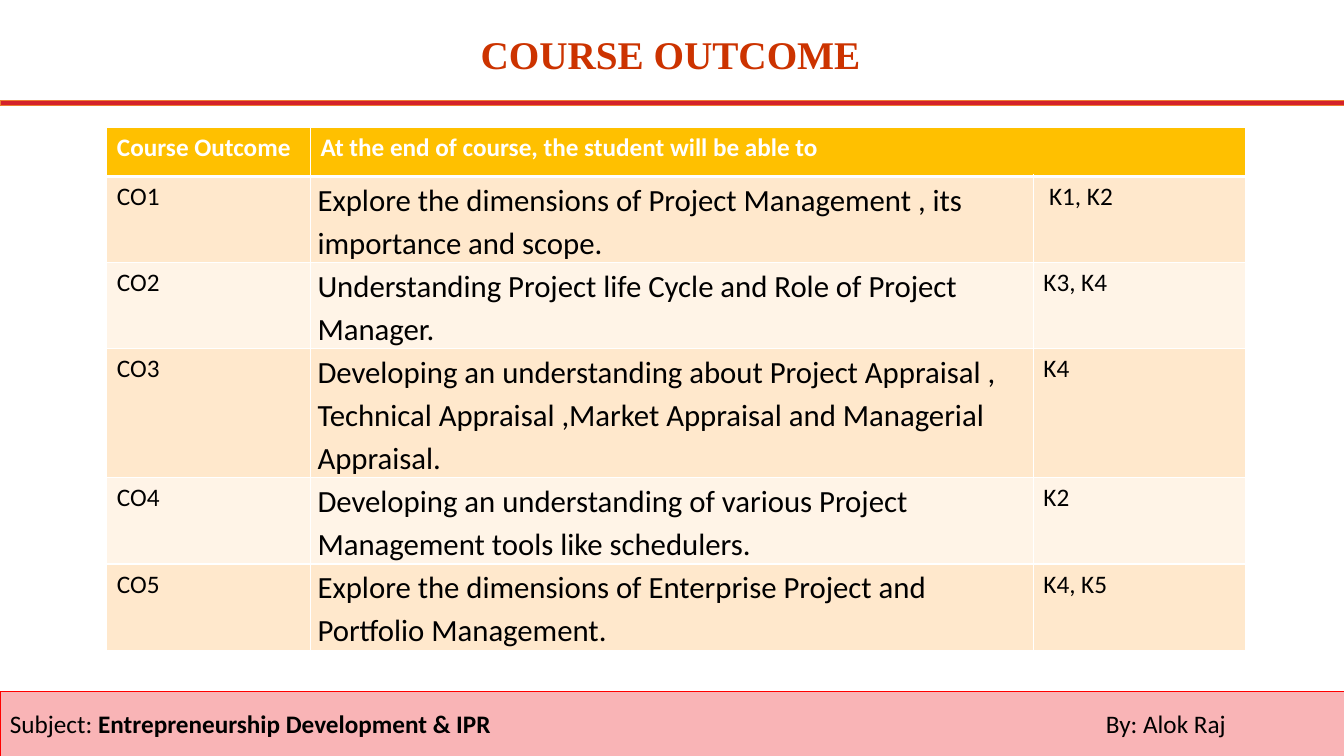
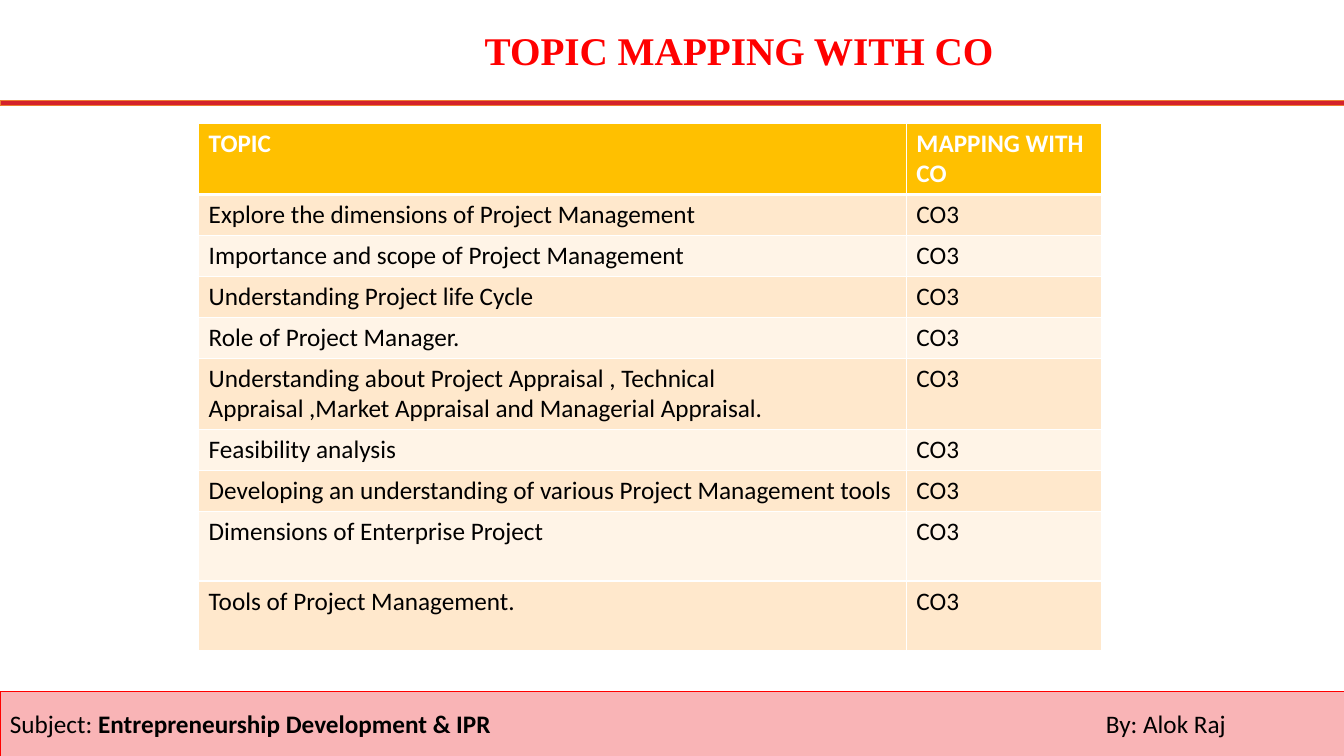
import pptx
import pptx.dml.color
import pptx.enum.shapes
import pptx.enum.text
import pptx.oxml
import pptx.oxml.ns
import pptx.util

Inches = pptx.util.Inches
Pt = pptx.util.Pt
Align = pptx.enum.text.PP_ALIGN
Anchor = pptx.enum.text.MSO_ANCHOR

WIDTH, HEIGHT = 13.33, 7.5
BANDS = ("FFE8CC", "FFF4E7")
HEADER_FILL, GRID = "FFC000", "FFFFFF"
AUTHOR_TAB = 10.87
FOOTER = [("Subject: ", False), ("Entrepreneurship Development & IPR", True), ("\tBy: Alok Raj", False)]

OUTCOME_CELL = dict(size=22, line_spacing=1.15, space_after=10)

SLIDES = [
    dict(
        title="COURSE OUTCOME", title_color="CC3300", title_at=(4.18, 0.25, 4.94, 0.57),
        corner=(1.06, 1.26), columns=(2.02, 7.17, 2.1),
        heights=(0.49, 0.84, 0.84, 1.26, 0.84, 0.84),
        header=("Course Outcome", "At the end of course, the student will be able to", ""),
        header_span=(1, 2),
        rows=[
            ("CO1", "Explore the dimensions of Project Management , its importance and scope.", " K1, K2"),
            ("CO2", "Understanding Project life Cycle and Role of Project Manager.", "K3, K4"),
            ("CO3", "Developing an understanding about Project Appraisal , Technical Appraisal ,"
                    "Market Appraisal and Managerial Appraisal.", "K4"),
            ("CO4", "Developing an understanding of various Project Management tools like schedulers.", "K2"),
            ("CO5", "Explore the dimensions of Enterprise Project and Portfolio Management.", "K4, K5"),
        ],
        column_formats={1: OUTCOME_CELL},
        column_margins={1: (0.07, 0, 0.07, 0)},
        cell_margins={},
    ),
    dict(
        title="TOPIC MAPPING WITH CO", title_color="FF0000", title_at=(4.36, 0.21, 5.94, 0.57),
        corner=(1.97, 1.22), columns=(7.02, 1.94),
        heights=(0.69, 0.4, 0.4, 0.4, 0.4, 0.7, 0.4, 0.4, 0.69, 0.69),
        header=("TOPIC", "MAPPING WITH CO"),
        header_span=None,
        rows=[(topic, "CO3") for topic in (
            "Explore the dimensions of Project Management",
            "Importance and scope of Project Management",
            "Understanding Project life Cycle",
            "Role of Project Manager.",
            "Understanding about Project Appraisal , Technical Appraisal ,"
            "Market Appraisal and Managerial Appraisal.",
            "Feasibility analysis",
            "Developing an understanding of various Project Management tools",
            "Dimensions of Enterprise Project",
            "Tools of Project Management.",
        )],
        column_formats={},
        column_margins={},
        cell_margins={(5, 0): (0.1, 0.05, 1.3, 0.05)},
    ),
]


def rgb(value):
    return pptx.dml.color.RGBColor.from_string(value)


def write(frame, text, *, size=18, color="000000", bold=False, face="Calibri",
          align=Align.LEFT, line_spacing=None, space_after=None, tab=None):
    paragraph = frame.paragraphs[0]
    if tab is not None:
        stops = pptx.oxml.parse_xml(
            f'<a:tabLst {pptx.oxml.ns.nsdecls("a")}><a:tab pos="{Inches(tab)}" algn="l"/></a:tabLst>')
        paragraph._p.get_or_add_pPr().append(stops)
    paragraph.alignment = align
    if line_spacing is not None:
        paragraph.line_spacing = line_spacing
    if space_after is not None:
        paragraph.space_after = Pt(space_after)
    for words, strong in ([(text, bold)] if isinstance(text, str) else text):
        run = paragraph.add_run()
        run.text = words
        run.font.size = Pt(size)
        run.font.name = face
        run.font.bold = strong
        run.font.color.rgb = rgb(color)


def add_band(slide, top, height, fill, outline):
    band = slide.shapes.add_shape(pptx.enum.shapes.MSO_SHAPE.RECTANGLE,
                                  0, Inches(top), Inches(WIDTH), Inches(height))
    band.shadow.inherit = False
    band.fill.solid()
    band.fill.fore_color.rgb = rgb(fill)
    band.line.color.rgb = rgb(outline)
    band.line.width = Pt(0.5)
    return band


def add_title(slide, text, color, place):
    title = slide.shapes.title
    title.left, title.top, title.width, title.height = map(Inches, place)
    title.text_frame.auto_size = pptx.enum.text.MSO_AUTO_SIZE.NONE
    title.text_frame.vertical_anchor = Anchor.TOP
    write(title.text_frame, text, size=28, color=color, bold=True,
          face="Times New Roman", align=Align.CENTER)


def add_footer(slide):
    footer = add_band(slide, 6.86, HEIGHT - 6.86, "F9B4B6", "FF0000")
    footer.text_frame.word_wrap = True
    footer.text_frame.vertical_anchor = Anchor.MIDDLE
    write(footer.text_frame, FOOTER, tab=AUTHOR_TAB)


def set_borders(cell, top, bottom):
    for side, width in (("L", 1), ("R", 1), ("T", top), ("B", bottom)):
        cell._tc.get_or_add_tcPr().append(pptx.oxml.parse_xml(
            f'<a:ln{side} {pptx.oxml.ns.nsdecls("a")} w="{Pt(width)}"><a:solidFill>'
            f'<a:srgbClr val="{GRID}"/></a:solidFill></a:ln{side}>'))


def set_margins(cell, margins):
    cell.margin_left, cell.margin_top, cell.margin_right, cell.margin_bottom = map(Inches, margins)


def add_grid(slide, content):
    columns, heights = content["columns"], content["heights"]
    place = (*content["corner"], sum(columns), sum(heights))
    table = slide.shapes.add_table(len(heights), len(columns), *map(Inches, place)).table
    for column, width in zip(table.columns, columns):
        column.width = Inches(width)
    for row, height in zip(table.rows, heights):
        row.height = Inches(height)
    for r, texts in enumerate([content["header"], *content["rows"]]):
        for c, text in enumerate(texts):
            cell = table.cell(r, c)
            set_borders(cell, top=3 if r == 1 else 1, bottom=3 if r == 0 else 1)
            cell.fill.solid()
            cell.fill.fore_color.rgb = rgb(BANDS[(r - 1) % 2] if r else HEADER_FILL)
            margins = content["cell_margins"].get((r, c))
            if r:
                margins = margins or content["column_margins"].get(c)
                style = content["column_formats"].get(c, {})
            else:
                style = dict(color="FFFFFF", bold=True)
            if margins:
                set_margins(cell, margins)
            if text:
                write(cell.text_frame, text, **style)
    if content["header_span"]:
        first, last = content["header_span"]
        table.cell(0, first).merge(table.cell(0, last))


def main():
    deck = pptx.Presentation()
    deck.slide_width, deck.slide_height = Inches(WIDTH), Inches(HEIGHT)
    for content in SLIDES:
        slide = deck.slides.add_slide(deck.slide_layouts.get_by_name("Title Only"))
        add_band(slide, 1, 0.05, "D4222A", "ED7D31")
        add_title(slide, content["title"], content["title_color"], content["title_at"])
        add_grid(slide, content)
        add_footer(slide)
    deck.save("out.pptx")


if __name__ == "__main__":
    main()
